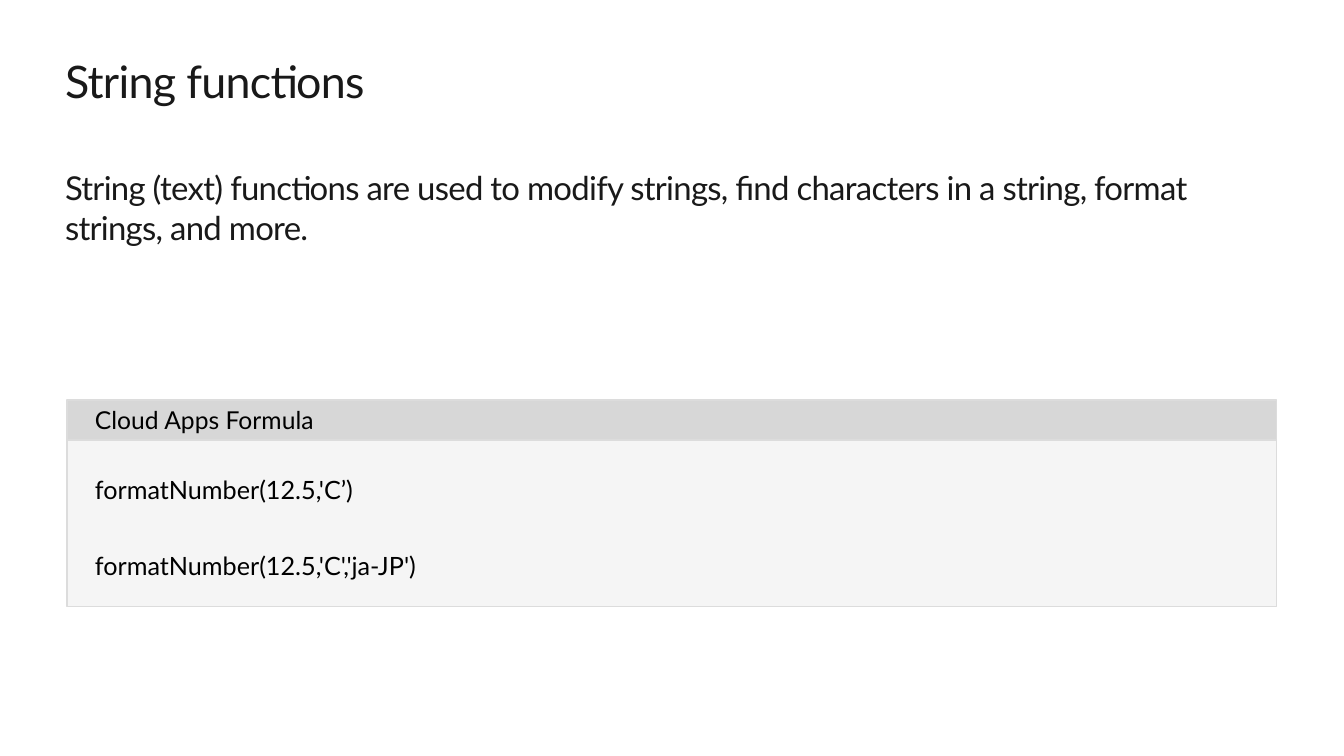
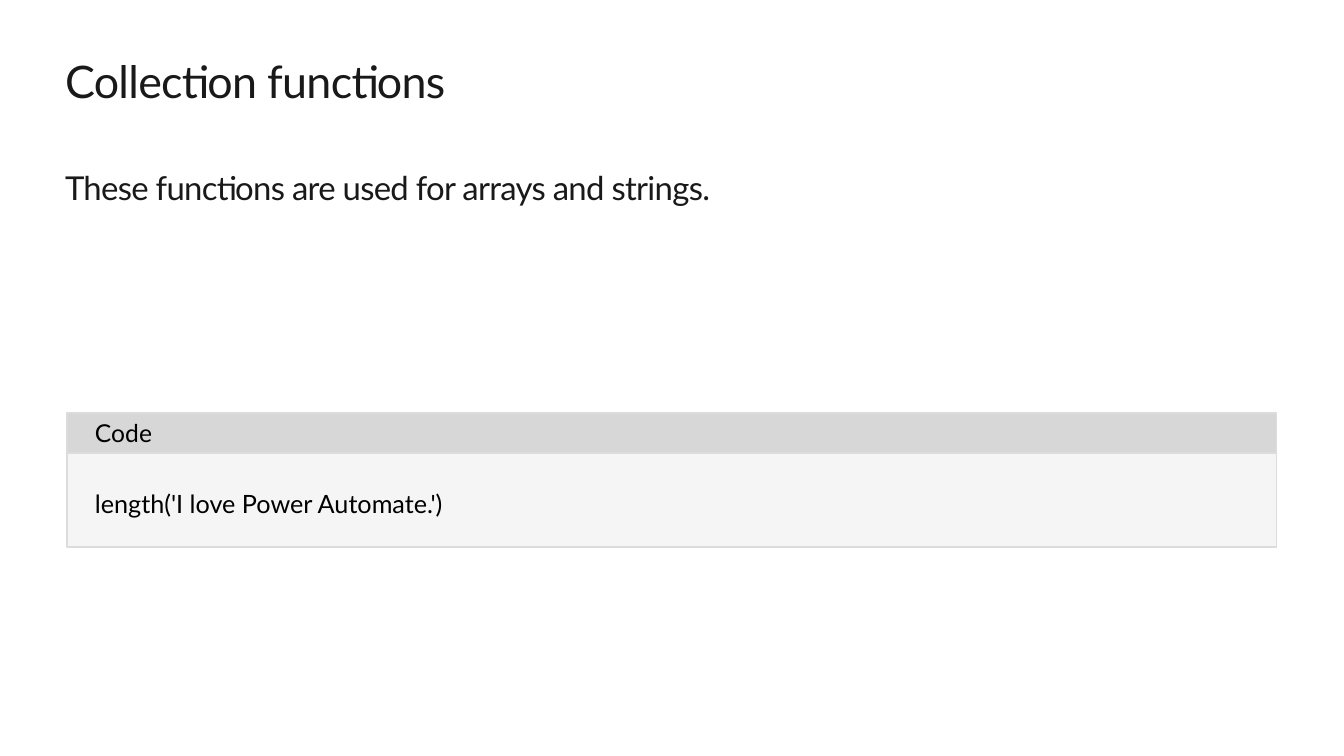
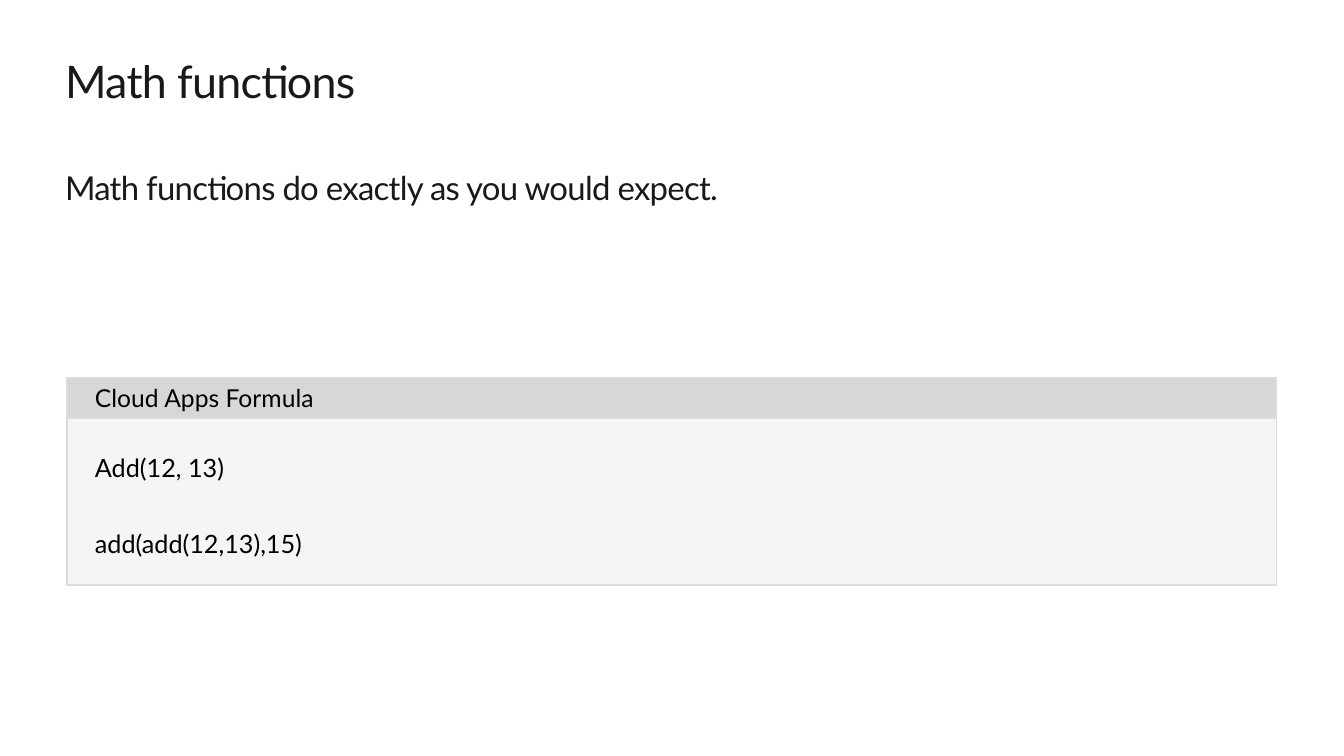
from pptx import Presentation
from pptx.dml.color import RGBColor
from pptx.enum.shapes import MSO_SHAPE
from pptx.enum.text import MSO_ANCHOR, MSO_AUTO_SIZE, PP_ALIGN
from pptx.oxml.ns import qn
from pptx.util import Emu, Pt

SLIDES = [
    {"title": "String functions",
     "intro": "String (text) functions are used to modify strings, find "
              "characters in a string, format strings, and more.",
     "intro_height": 94,
     "label": "Cloud Apps Formula", "top": 400,
     "code": ["formatNumber(12.5,'C’)", "formatNumber(12.5,'C','ja-JP')"]},
    {"title": "Collection functions",
     "intro": "These functions are used for arrays and strings.",
     "intro_height": 47,
     "label": "Code", "top": 413,
     "code": ["length('I love Power Automate.')"]},
    {"title": "Math functions",
     "intro": "Math functions do exactly as you would expect.",
     "intro_height": 47,
     "label": "Cloud Apps Formula", "top": 378,
     "code": ["Add(12, 13)", "add(add(12,13),15)"]},
]

FONT = "Lato"
INK, BLACK, BORDER = "191919", "000000", "DCDCDC"
TEXT_LEFT, TEXT_WIDTH = 65, 1215
PANEL_LEFT, PANEL_WIDTH = 67, 1210
LABEL_HEIGHT, ONE_LINE_HEIGHT, EXTRA_LINE_HEIGHT = 40, 94, 73

PLACEHOLDER_INSETS = (0, 10, 16, 10)
TITLE = {"size": 32, "color": INK, "tracking": -50, "line_spacing": 0.9,
         "insets": PLACEHOLDER_INSETS, "anchor": MSO_ANCHOR.TOP}
INTRO = {"size": 23.5, "color": INK, "tracking": -50, "line_spacing": 1.0,
         "insets": PLACEHOLDER_INSETS, "anchor": MSO_ANCHOR.TOP}
LABEL = {"size": 17.6, "color": BLACK, "line_spacing": 1.0, "fill": "D7D7D7",
         "insets": (28, 5, 10, 5), "anchor": MSO_ANCHOR.MIDDLE}
CODE = {"size": 18, "color": BLACK, "line_spacing": 1.25, "gap": 27, "fill": "F5F5F5",
        "insets": (28, 28, 28, 28), "anchor": MSO_ANCHOR.MIDDLE}


def px(length):
    return Emu(round(length * 914400 / 100.8))


def rgb(value):
    return RGBColor.from_string(value)


def place(shape, *box):
    for name, length in zip(("left", "top", "width", "height"), box):
        setattr(shape, name, px(length))


def write(shape, lines, style):
    frame = shape.text_frame
    frame.word_wrap = True
    frame.auto_size = MSO_AUTO_SIZE.NONE
    frame.vertical_anchor = style["anchor"]
    for side, inset in zip(("left", "top", "right", "bottom"), style["insets"]):
        setattr(frame, f"margin_{side}", px(inset))
    for index, line in enumerate(lines):
        paragraph = frame.paragraphs[0] if index == 0 else frame.add_paragraph()
        paragraph.alignment = PP_ALIGN.LEFT
        paragraph.line_spacing = style["line_spacing"]
        paragraph.space_before = Pt(style["gap"] if index else 0)
        run = paragraph.add_run()
        run.text = line
        for name, value in {"name": FONT, "size": Pt(style["size"])}.items():
            setattr(run.font, name, value)
        run.font.color.rgb = rgb(style["color"])
        if "tracking" in style:
            run._r.get_or_add_rPr().set("spc", str(style["tracking"]))


def remove_bullet(paragraph):
    properties = paragraph._p.get_or_add_pPr()
    properties.set("marL", "0")
    properties.set("indent", "0")
    properties.append(properties.makeelement(qn("a:buNone"), {}))


def add_panel(slide, top, height, lines, style):
    panel = slide.shapes.add_shape(
        MSO_SHAPE.RECTANGLE, *map(px, (PANEL_LEFT, top, PANEL_WIDTH, height)))
    panel.shadow.inherit = False
    panel.fill.solid()
    panel.fill.fore_color.rgb = rgb(style["fill"])
    panel.line.color.rgb = rgb(BORDER)
    panel.line.width = Pt(0.85)
    write(panel, lines, style)


def add_function_slide(presentation, content):
    slide = presentation.slides.add_slide(presentation.slide_layouts[1])
    title, intro = slide.placeholders
    place(title, TEXT_LEFT, 50, TEXT_WIDTH, 60)
    write(title, [content["title"]], TITLE)
    place(intro, TEXT_LEFT, 158, TEXT_WIDTH, content["intro_height"])
    write(intro, [content["intro"]], INTRO)
    remove_bullet(intro.text_frame.paragraphs[0])

    top, code = content["top"], content["code"]
    code_height = ONE_LINE_HEIGHT + EXTRA_LINE_HEIGHT * (len(code) - 1)
    add_panel(slide, top + LABEL_HEIGHT, code_height, code, CODE)
    add_panel(slide, top, LABEL_HEIGHT, [content["label"]], LABEL)


def main():
    presentation = Presentation()
    presentation.slide_width, presentation.slide_height = px(1344), px(756)
    for content in SLIDES:
        add_function_slide(presentation, content)
    presentation.save("out.pptx")


if __name__ == "__main__":
    main()
